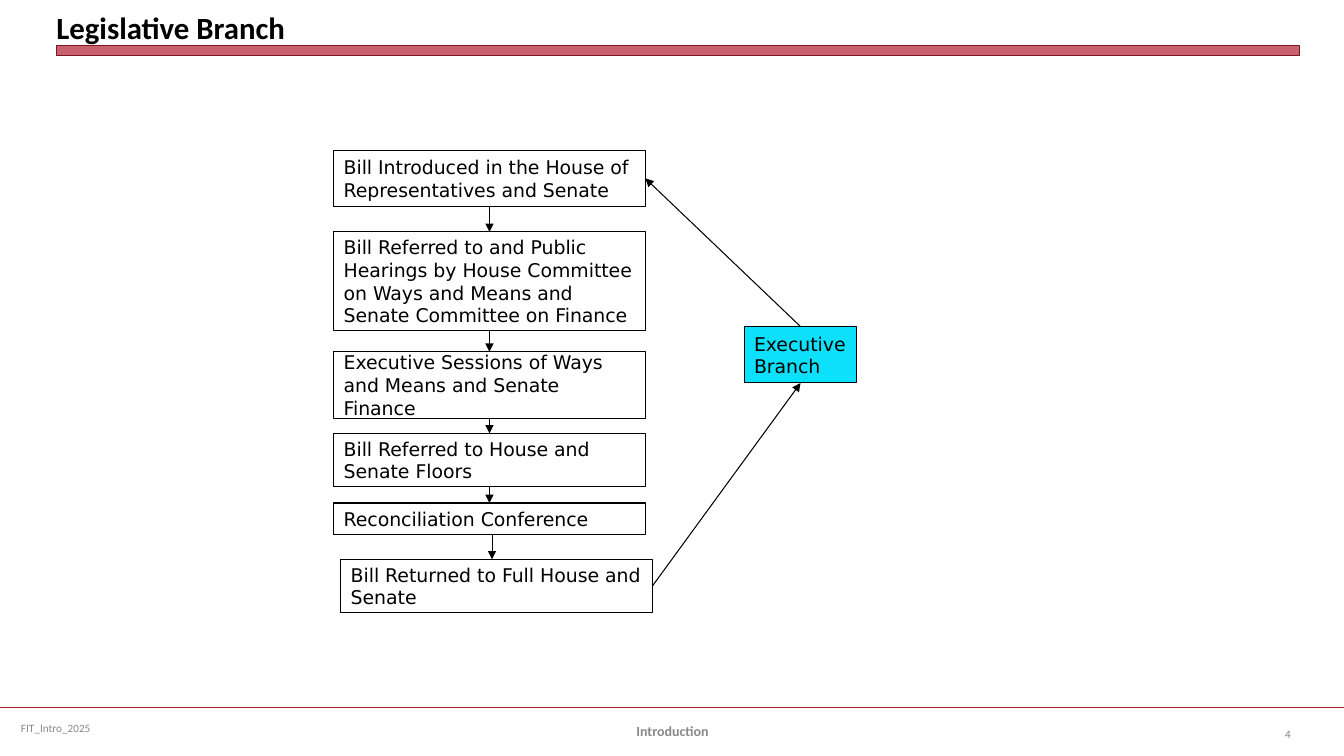
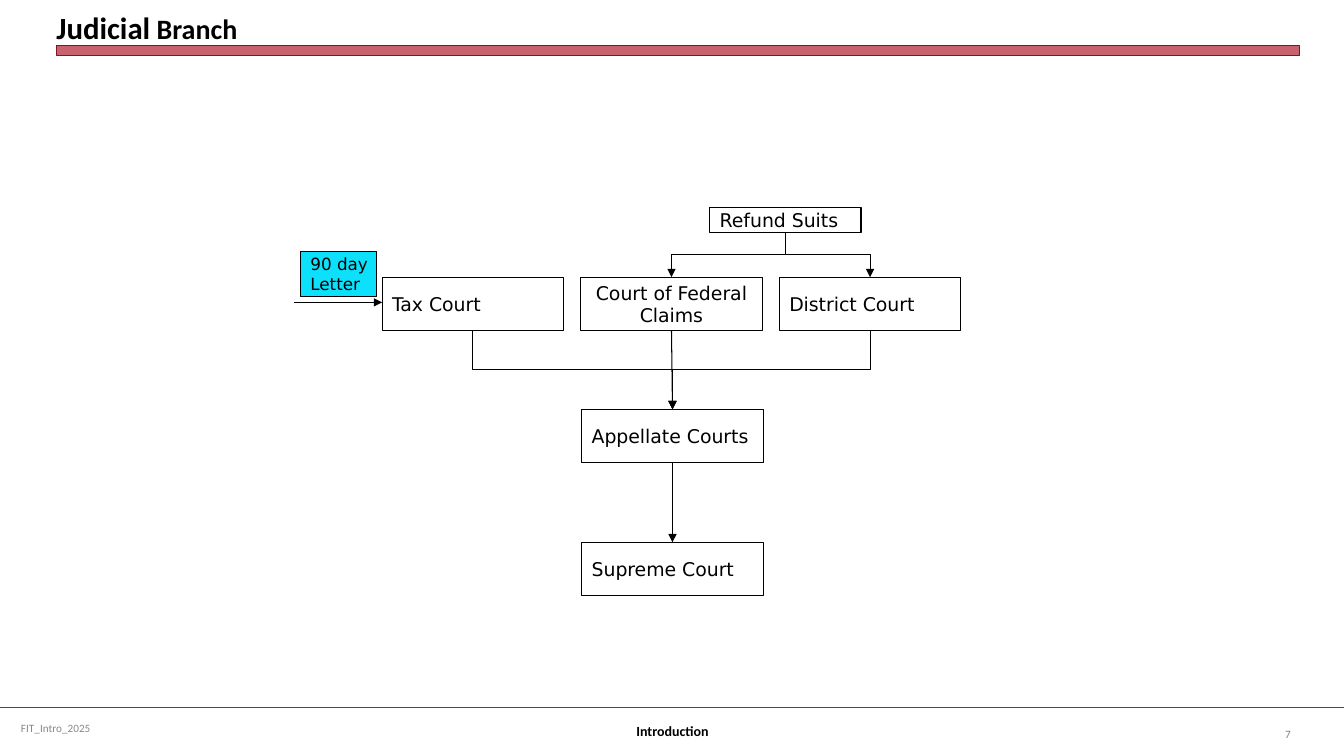
from dataclasses import dataclass

from lxml.etree import SubElement
from pptx import Presentation
from pptx.dml.color import RGBColor
from pptx.enum.shapes import MSO_CONNECTOR as Line, MSO_SHAPE as Preset
from pptx.enum.text import MSO_ANCHOR as Anchor, MSO_AUTO_SIZE as AutoSize, PP_ALIGN as Align
from pptx.oxml.ns import qn
from pptx.util import Inches, Pt

TOP, LEFT, BOTTOM, RIGHT = range(4)


@dataclass(frozen=True)
class Theme:
    heading_font: str = "Calibri"
    body_font: str = "DejaVu Sans"
    ink: str = "000000"
    footer: str = "898989"
    number: str = "808080"
    accent: str = "B01C2E"
    accent_edge: str = "821522"
    highlight: str = "0CE0FB"
    band_opacity: int = 69
    title_size: float = 22
    small_title_size: float = 20
    body_size: float = 13.5
    note_size: float = 12
    section_size: float = 10
    footer_size: float = 8
    outline: float = 0.75
    rule: float = 1.25


@dataclass(frozen=True)
class Area:
    left: float
    top: float
    width: float
    height: float

    def lengths(self):
        return [Inches(value) for value in (self.left, self.top, self.width, self.height)]


@dataclass(frozen=True)
class Node:
    text: str
    area: Area
    fill: str = ""
    size: float = Theme.body_size
    align: Align = Align.LEFT
    wrap: bool = True


@dataclass(frozen=True)
class Heading:
    text: str
    size: float


THEME = Theme()


def color(value: str) -> RGBColor:
    return RGBColor.from_string(value)


def style_text(box, text: str, font: str, size: float, ink: str,
               align: Align = Align.LEFT, bold: bool = False, wrap: bool = True) -> None:
    frame = box.text_frame
    frame.text = text
    frame.word_wrap = wrap
    frame.vertical_anchor = Anchor.MIDDLE
    for para in frame.paragraphs:
        para.alignment = align
        para.font.name = font
        para.font.size = Pt(size)
        para.font.bold = bold
        para.font.color.rgb = color(ink)


def add_label(page, text: str, area: Area, size: float, ink: str,
              align: Align = Align.LEFT, bold: bool = False) -> None:
    box = page.shapes.add_textbox(*area.lengths())
    style_text(box, text, THEME.heading_font, size, ink, align, bold)


def add_node(page, node: Node):
    box = page.shapes.add_shape(Preset.RECTANGLE, *node.area.lengths())
    box.shadow.inherit = False
    if node.fill:
        box.fill.solid()
        box.fill.fore_color.rgb = color(node.fill)
    else:
        box.fill.background()
    box.line.color.rgb = color(THEME.ink)
    box.line.width = Pt(THEME.outline)
    style_text(box, node.text, THEME.body_font, node.size, THEME.ink, node.align, wrap=node.wrap)
    return box


def style_line(line, ink: str, width: float, arrow: bool = True) -> None:
    line.line.color.rgb = color(ink)
    line.line.width = Pt(width)
    properties = line._element.spPr
    if arrow:
        SubElement(properties.find(qn("a:ln")), qn("a:tailEnd"), type="triangle")
    SubElement(properties, qn("a:effectLst"))


def add_arrow(page, start: tuple[float, float], end: tuple[float, float]) -> None:
    points = [Inches(value) for value in (*start, *end)]
    line = page.shapes.add_connector(Line.STRAIGHT, *points)
    style_line(line, THEME.ink, THEME.outline)


def link(page, source, target, leave: int = BOTTOM, arrive: int = TOP, kind: Line = Line.STRAIGHT):
    line = page.shapes.add_connector(kind, 0, 0, 0, 0)
    line.begin_connect(source, leave)
    line.end_connect(target, arrive)
    style_line(line, THEME.ink, THEME.outline)
    return line


def link_elbow(page, source, target) -> None:
    """Link downwards with a bend, turning the preset a quarter so that it leaves vertically."""
    line = link(page, source, target, kind=Line.ELBOW)
    goes_right = line.end_x > line.begin_x
    across, down = line.width, line.height
    middle_x, middle_y = line.left + across // 2, line.top + down // 2
    frame = line._element.spPr.find(qn("a:xfrm"))
    for name in ("flipH", "flipV"):
        frame.attrib.pop(name, None)
    line.left, line.top = middle_x - down // 2, middle_y - across // 2
    line.width, line.height = down, across
    frame.set("rot", str((270 if goes_right else 90) * 60000))
    if goes_right:
        frame.set("flipH", "1")


def add_band(page) -> None:
    band = page.shapes.add_shape(Preset.RECTANGLE, *Area(0.56, 0.45, 12.33, 0.1).lengths())
    band.shadow.inherit = False
    band.fill.solid()
    band.fill.fore_color.rgb = color(THEME.accent)
    tint = band._element.spPr.find(qn("a:solidFill"))[0]
    SubElement(tint, qn("a:alpha"), val=str(THEME.band_opacity * 1000))
    band.line.color.rgb = color(THEME.accent_edge)
    band.line.width = Pt(0)


def add_title(page, headings: list[Heading]) -> None:
    title = page.shapes.title
    title.left, title.top, title.width, title.height = Area(0.56, 0.05, 12.33, 0.4).lengths()
    frame = title.text_frame
    frame.auto_size = AutoSize.NONE
    frame.vertical_anchor = Anchor.BOTTOM
    frame.margin_left = frame.margin_top = frame.margin_right = frame.margin_bottom = 0
    para = frame.paragraphs[0]
    para.alignment = Align.LEFT
    para.font.name = THEME.heading_font
    para.font.bold = True
    para.font.color.rgb = color(THEME.ink)
    for heading in headings:
        span = para.add_run()
        span.text = heading.text
        span.font.size = Pt(heading.size)


def add_page(deck, headings: list[Heading], number: int, section_ink: str):
    page = deck.slides.add_slide(deck.slide_layouts.get_by_name("Title Only"))
    rule = page.shapes.add_connector(
        Line.STRAIGHT, 0, Inches(7.02), deck.slide_width, Inches(7.02))
    style_line(rule, THEME.accent, THEME.rule, arrow=False)
    add_band(page)
    add_title(page, headings)
    add_label(page, "FIT_Intro_2025", Area(0.11, 7.02, 3.44, 0.4), THEME.footer_size, THEME.footer)
    add_label(page, "Introduction", Area(4.56, 7.05, 4.22, 0.4), THEME.section_size,
              section_ink, Align.CENTER, bold=True)
    add_label(page, str(number), Area(12.23, 7.08, 0.67, 0.4), THEME.footer_size,
              THEME.number, Align.RIGHT)
    return page


def build_legislative(deck) -> None:
    page = add_page(deck, [Heading("Legislative Branch", THEME.title_size)], 4, THEME.footer)
    left, width = 3.31, 3.09
    steps = [
        Node("Bill Introduced in the House of Representatives and Senate",
             Area(left, 1.49, width, 0.56)),
        Node("Bill Referred to and Public Hearings by House Committee on Ways and Means "
             "and Senate Committee on Finance", Area(left, 2.3, width, 0.98)),
        Node("Executive Sessions of Ways and Means and Senate Finance",
             Area(left, 3.49, width, 0.66)),
        Node("Bill Referred to House and Senate Floors", Area(left, 4.3, width, 0.53)),
        Node("Reconciliation Conference", Area(left, 4.99, width, 0.31)),
    ]
    boxes = [add_node(page, step) for step in steps]
    for source, target in zip(boxes, boxes[1:]):
        link(page, source, target)
    returned = add_node(page, Node("Bill Returned to Full House and Senate",
                                   Area(3.38, 5.55, width, 0.53)))
    add_arrow(page, (4.88, 5.3), (4.88, 5.55))
    executive = add_node(page, Node("Executive Branch", Area(7.38, 3.24, 1.12, 0.56),
                                    THEME.highlight))
    link(page, returned, executive, RIGHT, BOTTOM)
    link(page, executive, boxes[0], TOP, RIGHT)


def build_judicial(deck) -> None:
    headings = [Heading("Judicial", THEME.title_size), Heading(" Branch", THEME.small_title_size)]
    page = add_page(deck, headings, 7, THEME.ink)
    left, pitch, width, height = 3.79, 1.97, 1.8, 0.53
    middle = 5.77
    names = ["Tax Court", "Court of Federal Claims", "District Court"]
    aligns = [Align.LEFT, Align.CENTER, Align.LEFT]
    tax, claims, district = [
        add_node(page, Node(name, Area(left + column * pitch, 2.75, width, height), align=align))
        for column, (name, align) in enumerate(zip(names, aligns))
    ]
    appellate, supreme = [
        add_node(page, Node(name, Area(middle, top, width, height)))
        for name, top in (("Appellate Courts", 4.06), ("Supreme Court", 5.38))
    ]
    refund = add_node(page, Node("Refund Suits", Area(7.04, 2.06, 1.5, 0.25)))
    for source, target in ((refund, claims), (refund, district),
                           (tax, appellate), (district, appellate)):
        link_elbow(page, source, target)
    link(page, claims, appellate)
    link(page, appellate, supreme)
    add_arrow(page, (2.92, 3), (left, 3))
    add_node(page, Node("90 day\nLetter", Area(2.98, 2.5, 0.75, 0.44), THEME.highlight,
                        THEME.note_size, wrap=False))


def main() -> None:
    deck = Presentation()
    deck.slide_width, deck.slide_height = Inches(13.33), Inches(7.5)
    build_legislative(deck)
    build_judicial(deck)
    deck.save("out.pptx")


if __name__ == "__main__":
    main()
